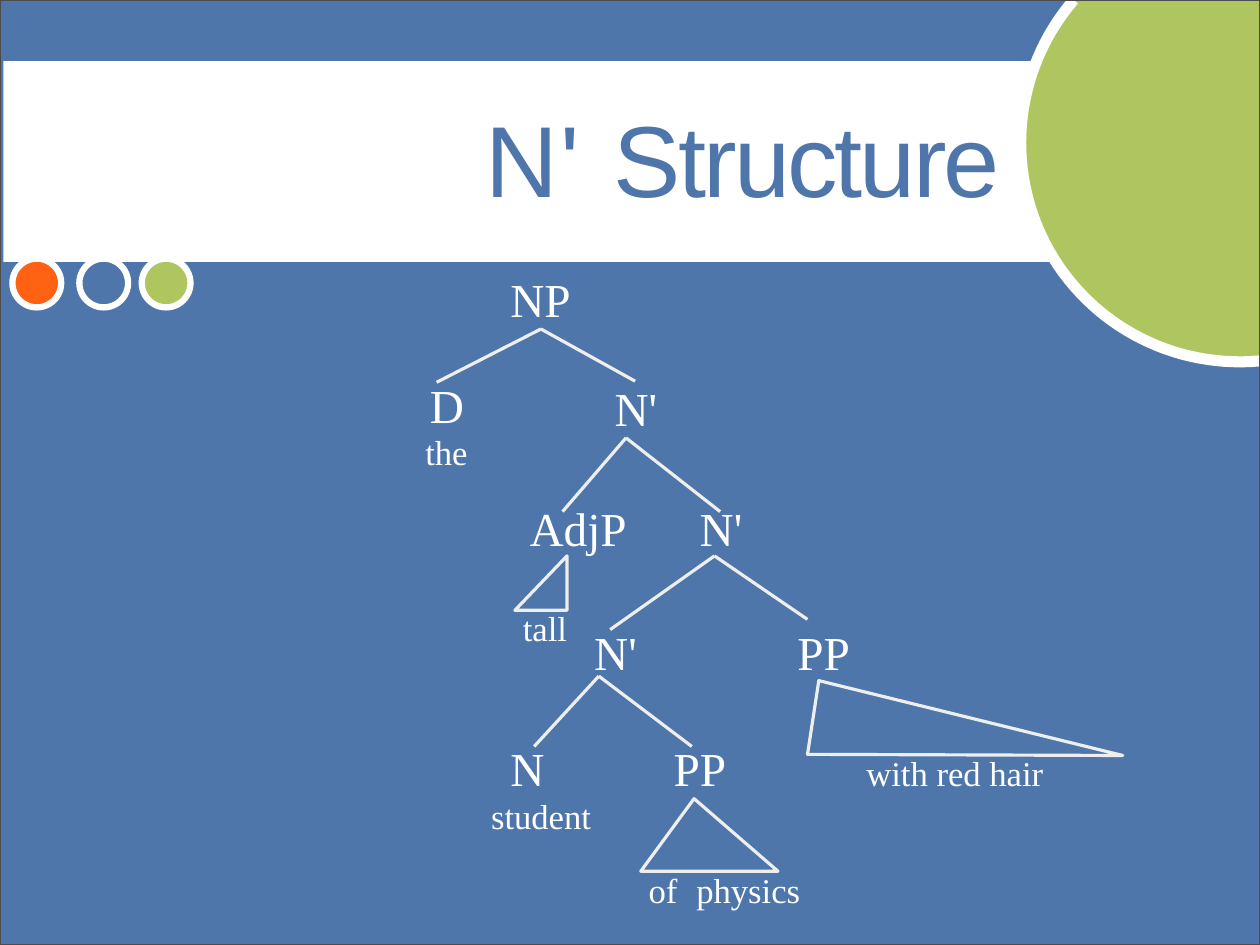
"""Build the N' Structure slide: a syntax tree under a title band with circles."""
import math

import lxml.etree
import pptx
import pptx.dml.color
import pptx.enum.shapes
import pptx.oxml.ns
import pptx.util

Inches, Pt = pptx.util.Inches, pptx.util.Pt
RGB = pptx.dml.color.RGBColor.from_string
qn = pptx.oxml.ns.qn
SHAPES = pptx.enum.shapes.MSO_SHAPE
COLORS = {"blue": "4E76AA", "white": "FFFFFF", "green": "AFC660",
          "orange": "FF6212", "branch": "EEEEEE", "frame": "4C4C4C"}
WIDTH, HEIGHT = 11.11, 8.33


def paint(shape, fill=None, line=None, weight=1):
    """Set fill and line of a shape, leaving out what is not given."""
    shape.shadow.inherit = False
    if fill:
        shape.fill.solid()
        shape.fill.fore_color.rgb = RGB(COLORS[fill])
    else:
        shape.fill.background()
    if line:
        shape.line.color.rgb = RGB(COLORS[line])
        shape.line.width = Pt(weight)
    else:
        shape.line.fill.background()


def outline(points, close):
    """Draw a freeform through points given in inches."""
    corners = [(Inches(x), Inches(y)) for x, y in points]
    builder = shapes.build_freeform(*corners[0], scale=1.0)
    builder.add_line_segments(corners[1:], close=close)
    return builder.convert_to_shape()


deck = pptx.Presentation()
deck.slide_width, deck.slide_height = Inches(WIDTH), Inches(HEIGHT)
slide = deck.slides.add_slide(deck.slide_layouts[6])
shapes = slide.shapes
slide.background.fill.solid()
slide.background.fill.fore_color.rgb = RGB(COLORS["blue"])

band = shapes.add_shape(SHAPES.RECTANGLE, Inches(0.03), Inches(0.54), Inches(9.58), Inches(1.77))
paint(band, "white")

center_x, center_y, radius = 10.93, 1.26, 1.93
first = math.pi + math.asin(center_y / radius)
last = math.acos((WIDTH - center_x) / radius)
steps = 60
angles = [first + (last - first) * step / steps for step in range(steps + 1)]
arc = [(center_x + radius * math.cos(a), center_y + radius * math.sin(a)) for a in angles]
paint(outline(arc + [(WIDTH, 0)], True), "green")
paint(outline(arc, False), None, "white", 7)

for left, color in [(0.11, "orange"), (0.7, "blue"), (1.25, "green")]:
    dot = shapes.add_shape(SHAPES.OVAL, Inches(left), Inches(2.28), Inches(0.43), Inches(0.43))
    paint(dot, color, "white", 4)

title = shapes.add_textbox(Inches(4.27), Inches(0.83), Inches(4.55), Inches(1.09))
title_frame = title.text_frame
title_frame.margin_left = Inches(0.01)
title_frame.margin_right = title_frame.margin_bottom = 0
title_frame.margin_top = Inches(0.02)
for words, spacing in [("N' ", 180), ("Structure", -180)]:
    run = title_frame.paragraphs[0].add_run()
    run.text = words
    run.font.name, run.font.size = "Arial", Pt(64)
    run.font.color.rgb = RGB(COLORS["blue"])
    run.font._element.set("spc", str(spacing))

node, word = 30, 22
labels = [
    (4.49, 2.36, 0.56, 0.53, [("NP", node, 0, None)], None),
    (3.74, 3.32, 0.4, 0.85, [("D", node, 0.04, 34.5), ("the", word, 0, 24.9)], None),
    (5.41, 3.32, 0.47, 0.53, [("N'", node, 0, None)], None),
    (4.66, 4.38, 1.95, 0.53, [("AdjP\tN'", node, 0, None)], 1.5),
    (4.6, 5.33, 0.42, 0.39, [("tall", word, 0, None)], None),
    (5.23, 5.47, 0.47, 0.53, [("N'", node, 0, None)], None),
    (7.02, 5.47, 0.49, 0.53, [("PP", node, 0, None)], None),
    (7.63, 6.61, 1.59, 0.39, [("with red hair", word, 0, None)], None),
    (4.32, 6.5, 0.91, 0.88, [("N", node, 0.17, 35.5), ("student", word, 0, 25.9)], None),
    (5.93, 6.5, 0.49, 0.53, [("PP", node, 0, None)], None),
    (5.71, 7.64, 1.35, 0.39, [("of\tphysics", word, 0, None)], 0.42),
]
for left, top, width, height, lines, tab in labels:
    label = shapes.add_textbox(Inches(left), Inches(top), Inches(width), Inches(height))
    frame = label.text_frame
    frame.margin_left = Inches(0.01)
    frame.margin_right = frame.margin_bottom = 0
    frame.margin_top = Inches(0.02)
    frame.text = "\n".join(line[0] for line in lines)
    for paragraph, (_, size, indent, leading) in zip(frame.paragraphs, lines):
        properties = paragraph._p.get_or_add_pPr()
        properties.set("marL", str(Inches(indent)))
        if leading:
            paragraph.line_spacing = Pt(leading)
        if tab:
            stops = lxml.etree.SubElement(properties, qn("a:tabLst"))
            lxml.etree.SubElement(stops, qn("a:tab"), pos=str(Inches(tab)), algn="l")
        for run in paragraph.runs:
            run.font.name, run.font.size = "Times New Roman", Pt(size)
            run.font.color.rgb = RGB(COLORS["white"])

forks = [
    ((4.77, 2.9), (3.85, 3.37), (5.6, 3.36)),
    ((5.52, 3.86), (4.96, 4.51), (6.35, 4.51)),
    ((6.3, 4.9), (5.38, 5.55), (7.12, 5.46)),
    ((5.28, 5.96), (4.71, 6.58), (6.1, 6.58)),
]
for parent, *children in forks:
    for child in children:
        ends = [Inches(length) for length in parent + child]
        branch = shapes.add_connector(pptx.enum.shapes.MSO_CONNECTOR.STRAIGHT, *ends)
        branch.line.color.rgb = RGB(COLORS["branch"])
        branch.line.width = Pt(2)
        lxml.etree.SubElement(branch._element.spPr, qn("a:effectLst"))

triangles = [
    [(5, 4.9), (4.54, 5.38), (5, 5.38)],
    [(7.22, 6), (7.12, 6.65), (9.9, 6.66)],
    [(6.12, 7.04), (5.65, 7.68), (6.86, 7.68)],
]
for corners in triangles:
    paint(outline(corners, True), None, "branch", 2)

border = shapes.add_shape(SHAPES.RECTANGLE, 0, 0, Inches(WIDTH), Inches(HEIGHT))
paint(border, None, "frame", 1)

deck.save("out.pptx")
